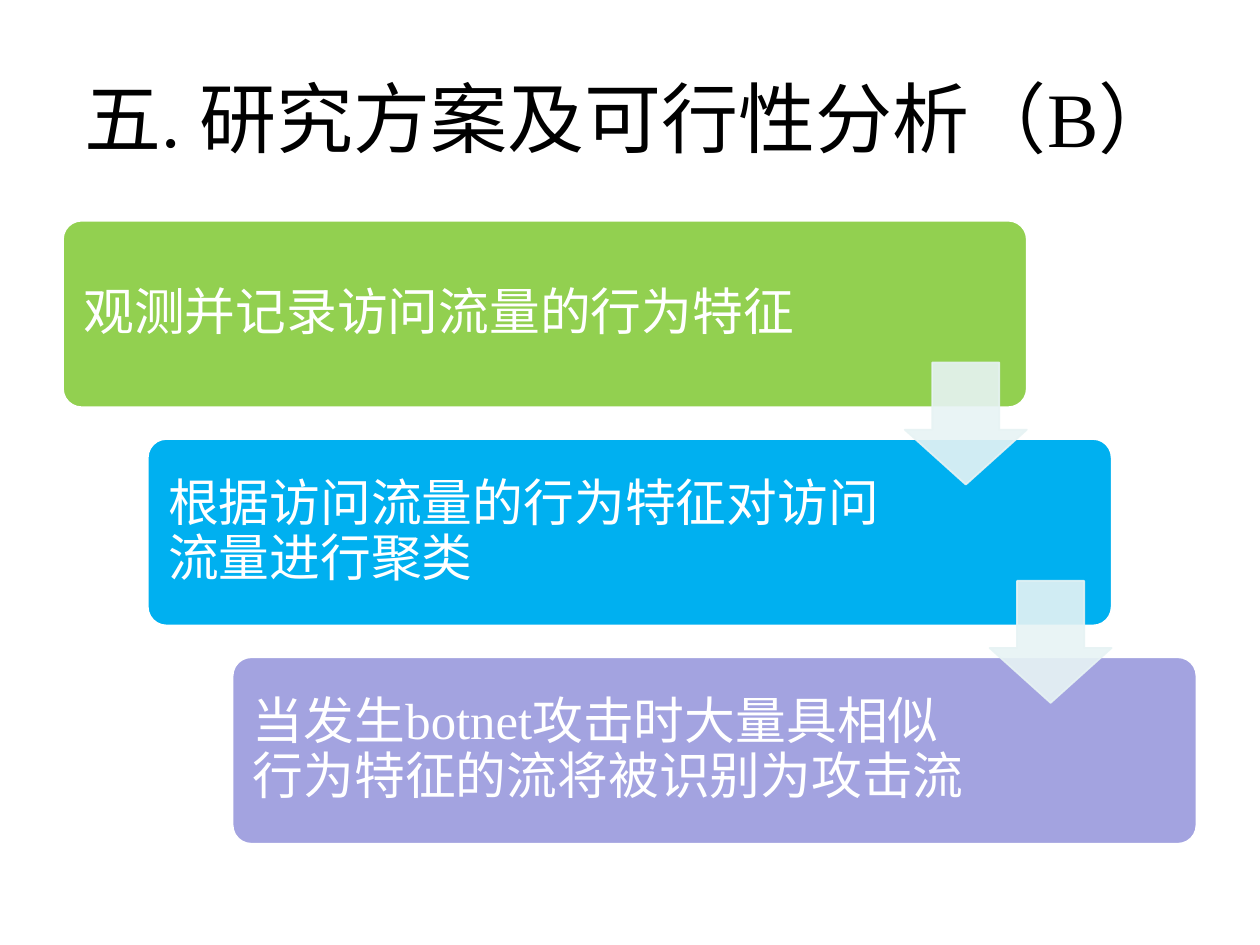
"""Build a slide with three staggered steps of a traffic analysis plan."""
from lxml import etree
from pptx import Presentation
from pptx.dml.color import RGBColor
from pptx.enum.shapes import MSO_SHAPE
from pptx.enum.text import MSO_ANCHOR, PP_ALIGN
from pptx.oxml.ns import qn
from pptx.util import Cm, Pt

ROUNDED = MSO_SHAPE.ROUNDED_RECTANGLE
DOWN_ARROW = MSO_SHAPE.DOWN_ARROW
MIDDLE = MSO_ANCHOR.MIDDLE
LEFT, CENTER = PP_ALIGN.LEFT, PP_ALIGN.CENTER

STEPS = [
    ("观测并记录访问流量的行为特征", "92D050", 15.37),
    ("根据访问流量的行为特征对访问流量进行聚类", "00B0F0", 15.04),
    ("当发生botnet攻击时大量具相似行为特征的流将被识别为攻击流", "A3A3E0", 15.04),
]
STEP_RIGHT, STEP_DOWN = 1.71, 4.4
BOX_LEFT, BOX_TOP, BOX_WIDTH, BOX_HEIGHT = 1.27, 4.45, 19.43, 3.76
TEXT_MARGIN = 0.11
ARROW_LEFT, ARROW_TOP, ARROW_SIZE = 18.24, 7.31, 2.46


def add_text(text, left, top, width, height, size, color, align=LEFT,
             inset=0.25, spacing=1.0):
    box = slide.shapes.add_textbox(Cm(left), Cm(top), Cm(width), Cm(height))
    frame = box.text_frame
    frame.word_wrap = True
    frame.vertical_anchor = MIDDLE
    frame.margin_left = frame.margin_right = Cm(inset)
    frame.margin_top = frame.margin_bottom = Cm(inset)
    paragraph = frame.paragraphs[0]
    paragraph.alignment = align
    paragraph.line_spacing = spacing
    run = paragraph.add_run()
    run.text = text
    run.font.size = Pt(size)
    run.font.name = "Times New Roman"
    run.font.color.rgb = RGBColor.from_string(color)


def add_filled(kind, left, top, width, height, adjustments, fill, line, opacity=100):
    shape = slide.shapes.add_shape(kind, Cm(left), Cm(top), Cm(width), Cm(height))
    shape.shadow.inherit = False
    for index, value in enumerate(adjustments):
        shape.adjustments[index] = value
    shape.fill.solid()
    shape.fill.fore_color.rgb = RGBColor.from_string(fill)
    shape.line.color.rgb = RGBColor.from_string(line)
    shape.line.width = Pt(1)
    if opacity < 100:
        for color in shape.element.spPr.iter(qn("a:srgbClr")):
            etree.SubElement(color, qn("a:alpha")).set("val", str(opacity * 1000))


presentation = Presentation()
presentation.slide_width = Cm(25.4)
presentation.slide_height = Cm(19.05)
slide = presentation.slides.add_slide(presentation.slide_layouts[6])

add_text("五. 研究方案及可行性分析（B）", 1.27, 0.76, 22.86, 3.18, 44, "000000",
         align=CENTER)

for index, (text, color, text_width) in enumerate(STEPS):
    left = BOX_LEFT + index * STEP_RIGHT
    top = BOX_TOP + index * STEP_DOWN
    add_filled(ROUNDED, left, top, BOX_WIDTH, BOX_HEIGHT, [0.1], color, "FFFFFF")
    add_text(text, left + TEXT_MARGIN, top + TEXT_MARGIN, text_width,
             BOX_HEIGHT - 2 * TEXT_MARGIN, 29, "FFFFFF", inset=0.3, spacing=0.9)

for index in range(len(STEPS) - 1):
    add_filled(DOWN_ARROW, ARROW_LEFT + index * STEP_RIGHT,
               ARROW_TOP + index * STEP_DOWN, ARROW_SIZE, ARROW_SIZE,
               [0.55, 0.45], "E7F3F4", "E7F3F4", opacity=90)

presentation.save("out.pptx")
